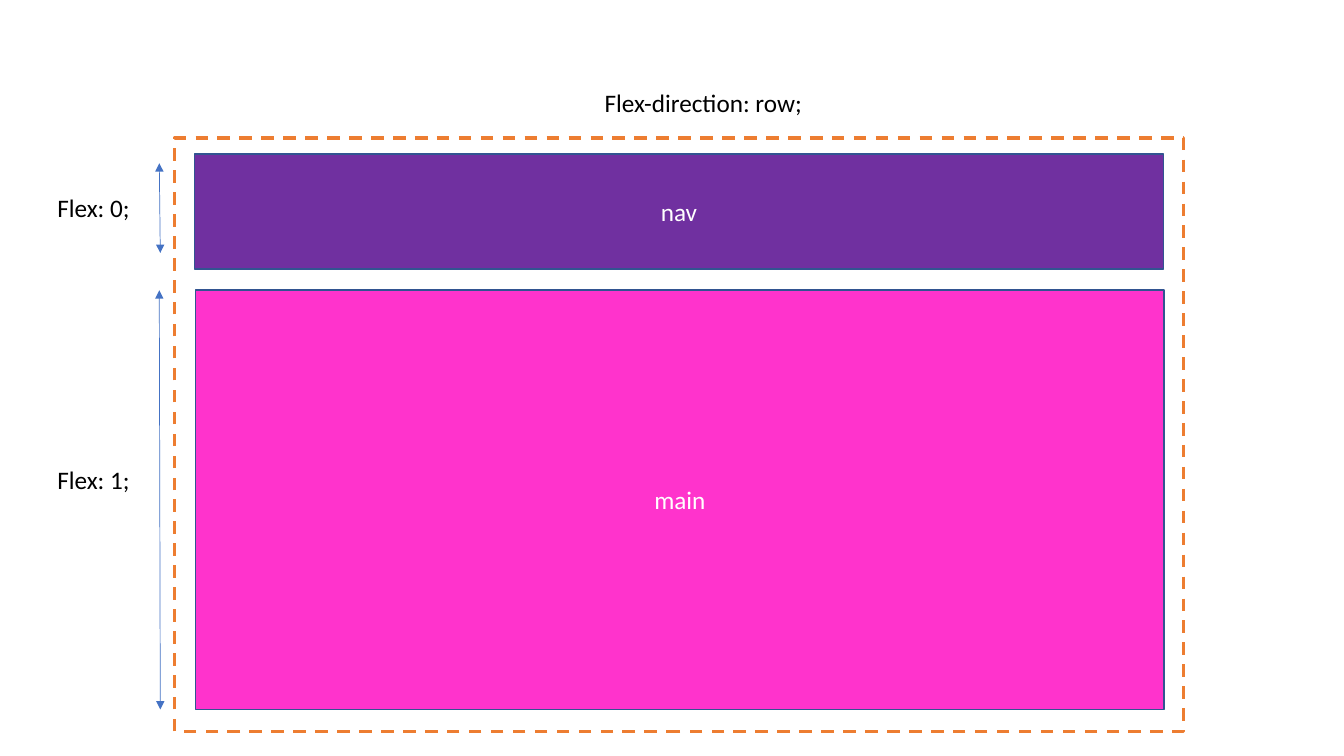
from dataclasses import dataclass

from lxml import etree
from pptx import Presentation
from pptx.dml.color import RGBColor
from pptx.enum.dml import MSO_LINE
from pptx.enum.shapes import MSO_CONNECTOR, MSO_SHAPE
from pptx.enum.text import MSO_ANCHOR, MSO_AUTO_SIZE, PP_ALIGN
from pptx.oxml.ns import qn
from pptx.util import Pt

RECTANGLE = MSO_SHAPE.RECTANGLE
STRAIGHT = MSO_CONNECTOR.STRAIGHT
DASH = MSO_LINE.DASH
MIDDLE, TOP = MSO_ANCHOR.MIDDLE, MSO_ANCHOR.TOP
CENTER, LEFT = PP_ALIGN.CENTER, PP_ALIGN.LEFT
GROW = MSO_AUTO_SIZE.SHAPE_TO_FIT_TEXT


@dataclass(frozen=True)
class Theme:
    font: str = "Calibri"
    size: float = 18
    ink: str = "000000"
    paper: str = "FFFFFF"
    nav: str = "7030A0"
    main: str = "FF33CC"
    edge: str = "325491"
    container: str = "ED7D31"
    span: str = "4472C4"


@dataclass(frozen=True)
class Box:
    left: float
    top: float
    width: float
    height: float

    def inside(self, dx, dy, width, height):
        return Box(self.left + dx, self.top + dy, width, height)

    def lengths(self):
        return [Pt(n) for n in (self.left, self.top, self.width, self.height)]


THEME = Theme()


def write(frame, text, color=THEME.ink, align=LEFT, anchor=TOP):
    frame.word_wrap = True
    frame.vertical_anchor = anchor
    paragraph = frame.paragraphs[0]
    paragraph.alignment = align
    run = paragraph.add_run()
    run.text = text
    run.font.name = THEME.font
    run.font.size = Pt(THEME.size)
    run.font.color.rgb = RGBColor.from_string(color)


def draw_rectangle(slide, box, line, weight, fill=None):
    rectangle = slide.shapes.add_shape(RECTANGLE, *box.lengths())
    rectangle.shadow.inherit = False
    if fill:
        rectangle.fill.solid()
        rectangle.fill.fore_color.rgb = RGBColor.from_string(fill)
    else:
        rectangle.fill.background()
    rectangle.line.color.rgb = RGBColor.from_string(line)
    rectangle.line.width = Pt(weight)
    return rectangle


def draw_panel(slide, box, name, fill):
    panel = draw_rectangle(slide, box, THEME.edge, 1, fill)
    write(panel.text_frame, name, color=THEME.paper, align=CENTER, anchor=MIDDLE)


def draw_container(slide, box):
    container = draw_rectangle(slide, box, THEME.container, 2.25)
    container.line.dash_style = DASH


def draw_label(slide, box, text):
    label = slide.shapes.add_textbox(*box.lengths()).text_frame
    write(label, text)
    label.auto_size = GROW


def draw_span(slide, box):
    left, top, width, height = box.lengths()
    span = slide.shapes.add_connector(STRAIGHT, left, top, left + width, top + height)
    span.line.color.rgb = RGBColor.from_string(THEME.span)
    span.line.width = Pt(0.5)
    properties = span.line._get_or_add_ln()
    for end in ("a:headEnd", "a:tailEnd"):
        etree.SubElement(properties, qn(end)).set("type", "triangle")
    etree.SubElement(span._element.spPr, qn("a:effectLst"))


def draw_flex_diagram(slide, box):
    panel_width = box.width - 28.8
    draw_panel(slide, box.inside(14.4, 11.5, panel_width, 82.1), "nav", THEME.nav)
    draw_panel(slide, box.inside(15.1, 108.7, panel_width, 299.5), "main", THEME.main)
    draw_container(slide, box)
    flex_rows = (
        ("Flex: 0;", 35.3, 18, 64.1),
        ("Flex: 1;", 229.7, 108.7, 299.5),
    )
    for text, label_top, _, _ in flex_rows:
        draw_label(slide, box.inside(-90.7, label_top, 91.4, 28.8), text)
    draw_label(slide, box.inside(300.2, -39.6, 162.7, 28.8), "Flex-direction: row;")
    for _, _, span_top, span_height in flex_rows:
        draw_span(slide, box.inside(-10.8, span_top, 0.7, span_height))


def main():
    presentation = Presentation()
    presentation.slide_width = Pt(960)
    presentation.slide_height = Pt(540)
    slide = presentation.slides.add_slide(presentation.slide_layouts[6])
    draw_flex_diagram(slide, Box(124.6, 98.6, 720.7, 424.1))
    presentation.save("out.pptx")


if __name__ == "__main__":
    main()
